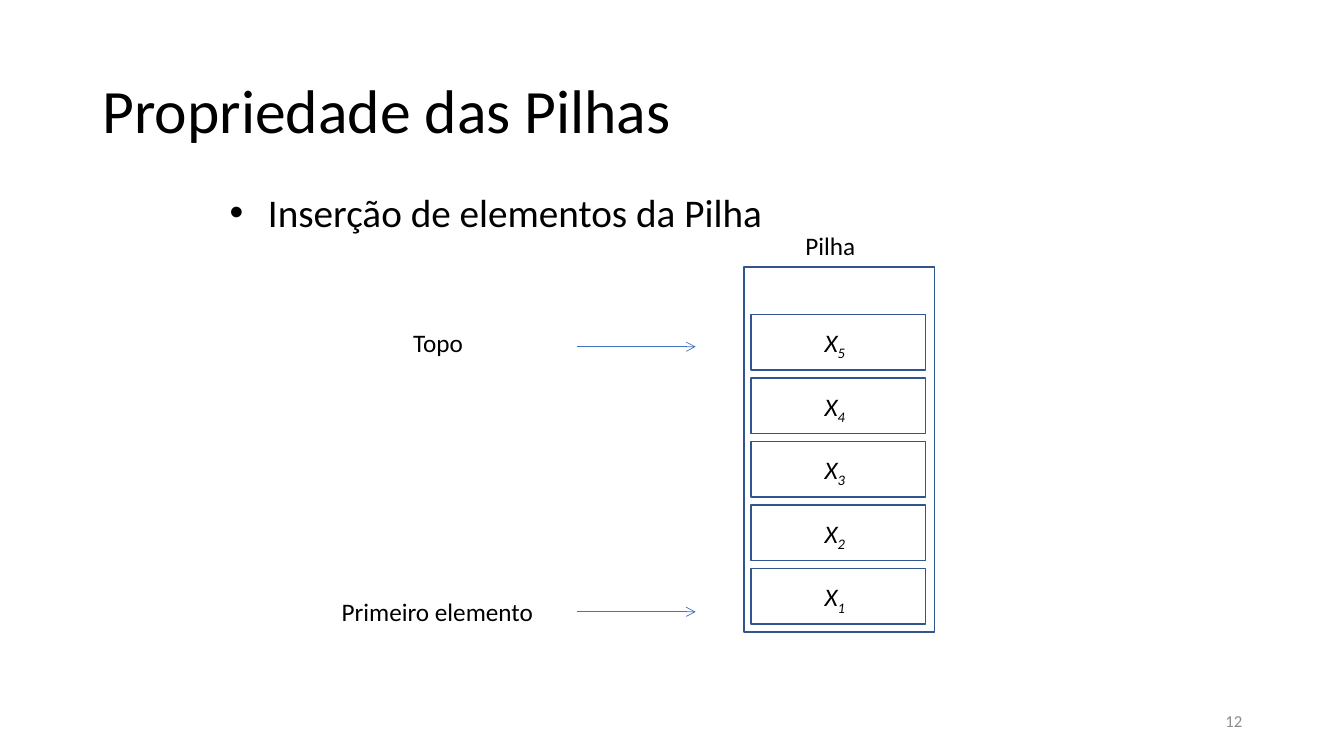
from lxml.etree import SubElement
from pptx import Presentation
from pptx.dml.color import RGBColor
from pptx.enum.shapes import MSO_CONNECTOR, MSO_SHAPE
from pptx.enum.text import MSO_ANCHOR, MSO_AUTO_SIZE, PP_ALIGN
from pptx.oxml.ns import qn
from pptx.util import Inches, Pt

BLACK = RGBColor(0x00, 0x00, 0x00)
WHITE = RGBColor(0xFF, 0xFF, 0xFF)
GRAY = RGBColor(0x8C, 0x8C, 0x8C)
NAVY = RGBColor(0x32, 0x54, 0x91)
BLUE = RGBColor(0x44, 0x72, 0xC4)

presentation = Presentation()
presentation.slide_width = Inches(13.33)
presentation.slide_height = Inches(7.5)
slide = presentation.slides.add_slide(presentation.slide_layouts[6])


def add_text(text, left, top, width, height, size=18, color=BLACK, wrap=False):
    """Add a one-paragraph text box; unwrapped boxes grow with their text."""
    frame = slide.shapes.add_textbox(
        Inches(left), Inches(top), Inches(width), Inches(height)).text_frame
    frame.word_wrap = wrap
    if wrap:
        frame.vertical_anchor = MSO_ANCHOR.MIDDLE
    else:
        frame.auto_size = MSO_AUTO_SIZE.SHAPE_TO_FIT_TEXT
    paragraph = frame.paragraphs[0]
    paragraph.add_run().text = text
    paragraph.font.name = "Calibri"
    paragraph.font.size = Pt(size)
    paragraph.font.color.rgb = color
    return paragraph


def add_box(left, top, width, height):
    box = slide.shapes.add_shape(
        MSO_SHAPE.RECTANGLE,
        Inches(left), Inches(top), Inches(width), Inches(height))
    box.shadow.inherit = False
    box.line.color.rgb = NAVY
    box.line.width = Pt(1)
    return box


title = add_text("Propriedade das Pilhas", 0.92, 0.4, 11.5, 1.45, 44, wrap=True)
title.line_spacing = 0.9

# Stack, filled from the bottom up
stack = add_box(7.38, 2.65, 1.89, 3.62)
stack.fill.background()
for number in range(1, 6):
    top = 5.64 - 0.63 * (number - 1)
    element = add_box(7.45, top, 1.73, 0.55)
    element.fill.solid()
    element.fill.fore_color.rgb = WHITE
    label = add_text("X", 8.08, top + 0.08, 0.42, 0.4)
    label.font.italic = True
    subscript = label.add_run()
    subscript.text = str(number)
    subscript._r.get_or_add_rPr().set("baseline", "-25000")

add_text("Pilha", 7.89, 2.24, 0.7, 0.4)
add_text("Topo", 4, 3.2, 0.7, 0.4)
add_text("Primeiro elemento", 3.29, 5.87, 2.12, 0.4)

for y in (3.44, 6.07):
    arrow = slide.shapes.add_connector(
        MSO_CONNECTOR.STRAIGHT, Inches(5.72), Inches(y), Inches(6.9), Inches(y))
    arrow.line.color.rgb = BLUE
    arrow.line.width = Pt(0.5)
    SubElement(arrow.line._get_or_add_ln(), qn("a:tailEnd"), type="arrow")
    SubElement(arrow._element.spPr, qn("a:effectLst"))

topic = add_text("Inserção de elementos da Pilha", 2.18, 1.82, 5.53, 0.57, 28)
topic_properties = topic._p.get_or_add_pPr()
topic_properties.set("marL", str(Inches(0.38)))
topic_properties.set("indent", str(Inches(-0.38)))
bullet_font = topic_properties.makeelement(qn("a:buFont"), {"typeface": "Arial"})
bullet = topic_properties.makeelement(qn("a:buChar"), {"char": "•"})
topic_properties.insert(0, bullet_font)
topic_properties.insert(1, bullet)

page_number = add_text("12", 9.42, 6.95, 3, 0.4, 12, GRAY, wrap=True)
page_number.alignment = PP_ALIGN.RIGHT

presentation.save("out.pptx")
